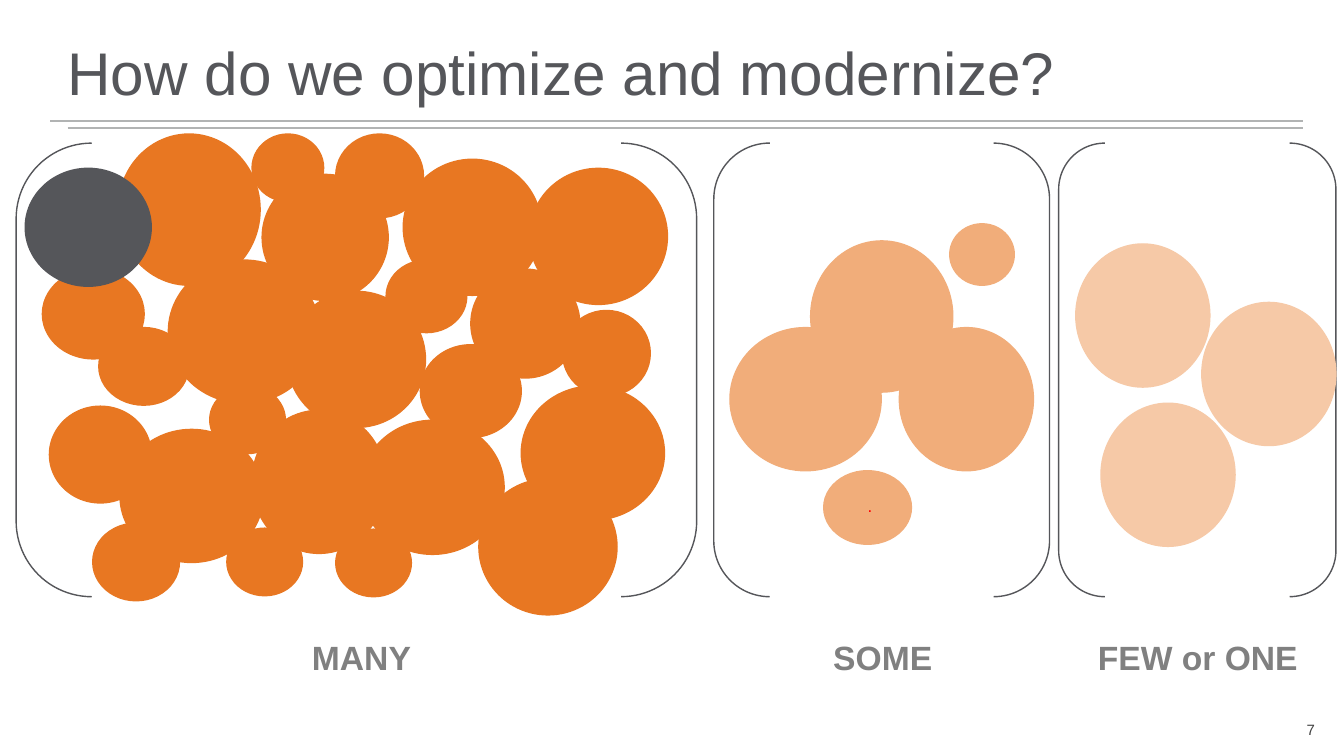
from pptx import Presentation
from pptx import util as u
from pptx.dml.color import RGBColor
from pptx.enum import shapes, text
from pptx.oxml.ns import qn
from lxml import etree

PX = 9144
FONT = "Arial"
COLORS = {
    "rule": "B1B3B3",
    "slate": "55565A",
    "label": "808080",
    "many": "E87722",
    "some": "F1AD7A",
    "few": "F6C9A7",
    "dot": "FF0000",
    "number": "424242",
}

RULES = [(50, 120, 1292), (67, 127, 1292)]

GROUPS = [
    ("MANY", (16, 675), (250, 217)),
    ("SOME", (708, 333), (767, 217)),
    ("FEW or ONE", (1050, 275), (1067, 242)),
]

BUBBLES = {
    "many": [
        (117, 133, 141, 150), (260, 173, 125, 125), (98, 325, 89, 77),
        (285, 289, 137, 135), (119, 426, 142, 132), (250, 407, 133, 142),
        (167, 258, 150, 142), (49, 403, 101, 96), (42, 267, 101, 89),
        (92, 519, 86, 77), (225, 524, 75, 67), (250, 133, 71, 67),
        (383, 258, 80, 72), (525, 167, 137, 135), (400, 158, 137, 135),
        (475, 475, 137, 135), (333, 133, 87, 83), (558, 308, 87, 85),
        (417, 342, 100, 92), (467, 267, 108, 108), (517, 383, 142, 133),
        (358, 417, 142, 133), (208, 383, 75, 67), (333, 525, 75, 67),
    ],
    "slate": [(25, 167, 125, 117)],
    "some": [
        (892, 325, 133, 142), (804, 239, 141, 150), (724, 325, 150, 142),
        (942, 222, 64, 61),
    ],
    "few": [(1192, 300, 133, 142), (1092, 400, 133, 142), (1067, 242, 133, 142)],
}
DOTTED_BUBBLE = (817, 467, 87, 73)


def emu(*lengths):
    return [length * PX for length in lengths]


def rgb(color):
    return RGBColor.from_string(COLORS[color])


def write(frame, words, *, size, color, bold=False, align=text.PP_ALIGN.LEFT,
          anchor=text.MSO_ANCHOR.TOP, spacing=0.9, inset=None, wrap=True):
    frame.auto_size = text.MSO_AUTO_SIZE.NONE
    frame.word_wrap = wrap
    frame.vertical_anchor = anchor
    if inset is not None:
        frame.margin_left = frame.margin_right = inset
        frame.margin_top = frame.margin_bottom = inset
    paragraph = frame.paragraphs[0]
    paragraph.alignment = align
    paragraph.line_spacing = spacing
    run = paragraph.add_run()
    run.text = words
    run.font.name = FONT
    run.font.size = u.Pt(size)
    run.font.bold = bold
    run.font.color.rgb = rgb(color)


def add_title(slide, words):
    title = slide.shapes.title
    title.left, title.top, title.width, title.height = emu(67, 8, 1200, 100)
    write(title.text_frame, words, size=43, color="slate",
          anchor=text.MSO_ANCHOR.BOTTOM, inset=0)


def add_rule(slide, left, top, right):
    rule = slide.shapes.add_connector(
        shapes.MSO_CONNECTOR.STRAIGHT, *emu(left, top, right, top))
    rule.line.color.rgb = rgb("rule")
    rule.line.width = u.Pt(1)
    etree.SubElement(rule._element.spPr, qn("a:effectLst"))


def add_bracket(slide, left, width):
    bracket = slide.shapes.add_shape(
        shapes.MSO_SHAPE.DOUBLE_BRACKET, *emu(left, 142, width, 450))
    bracket.shadow.inherit = False
    bracket.fill.background()
    bracket.line.color.rgb = rgb("slate")
    bracket.line.width = u.Pt(1)


def add_label(slide, words, left, width):
    label = slide.shapes.add_textbox(*emu(left, 631, width, 46))
    write(label.text_frame, words, size=24, color="label", bold=True,
          align=text.PP_ALIGN.CENTER)


def add_bubble(slide, box, color):
    bubble = slide.shapes.add_shape(shapes.MSO_SHAPE.OVAL, *emu(*box))
    bubble.shadow.inherit = False
    bubble.fill.solid()
    bubble.fill.fore_color.rgb = rgb(color)
    bubble.line.color.rgb = rgb(color)
    bubble.line.width = u.Pt(1)
    return bubble


def add_page_number(slide, number):
    page = slide.shapes.add_textbox(*emu(1296, 713, 15, 22))
    write(page.text_frame, number, size=10.7, color="number",
          anchor=text.MSO_ANCHOR.MIDDLE, spacing=1.0, inset=0, wrap=False)


def main():
    deck = Presentation()
    deck.slide_width, deck.slide_height = u.Inches(13.33), u.Inches(7.5)
    slide = deck.slides.add_slide(deck.slide_layouts[5])

    add_title(slide, "How do we optimize and modernize?")
    for rule in RULES:
        add_rule(slide, *rule)
    for name, bracket_span, label_span in GROUPS:
        add_bracket(slide, *bracket_span)
        add_label(slide, name, *label_span)
    for color, boxes in BUBBLES.items():
        for box in boxes:
            add_bubble(slide, box, color)
    dotted = add_bubble(slide, DOTTED_BUBBLE, "some")
    write(dotted.text_frame, " .", size=12, color="dot",
          align=text.PP_ALIGN.CENTER, anchor=text.MSO_ANCHOR.MIDDLE)
    add_page_number(slide, "7")

    deck.save("out.pptx")


if __name__ == "__main__":
    main()
